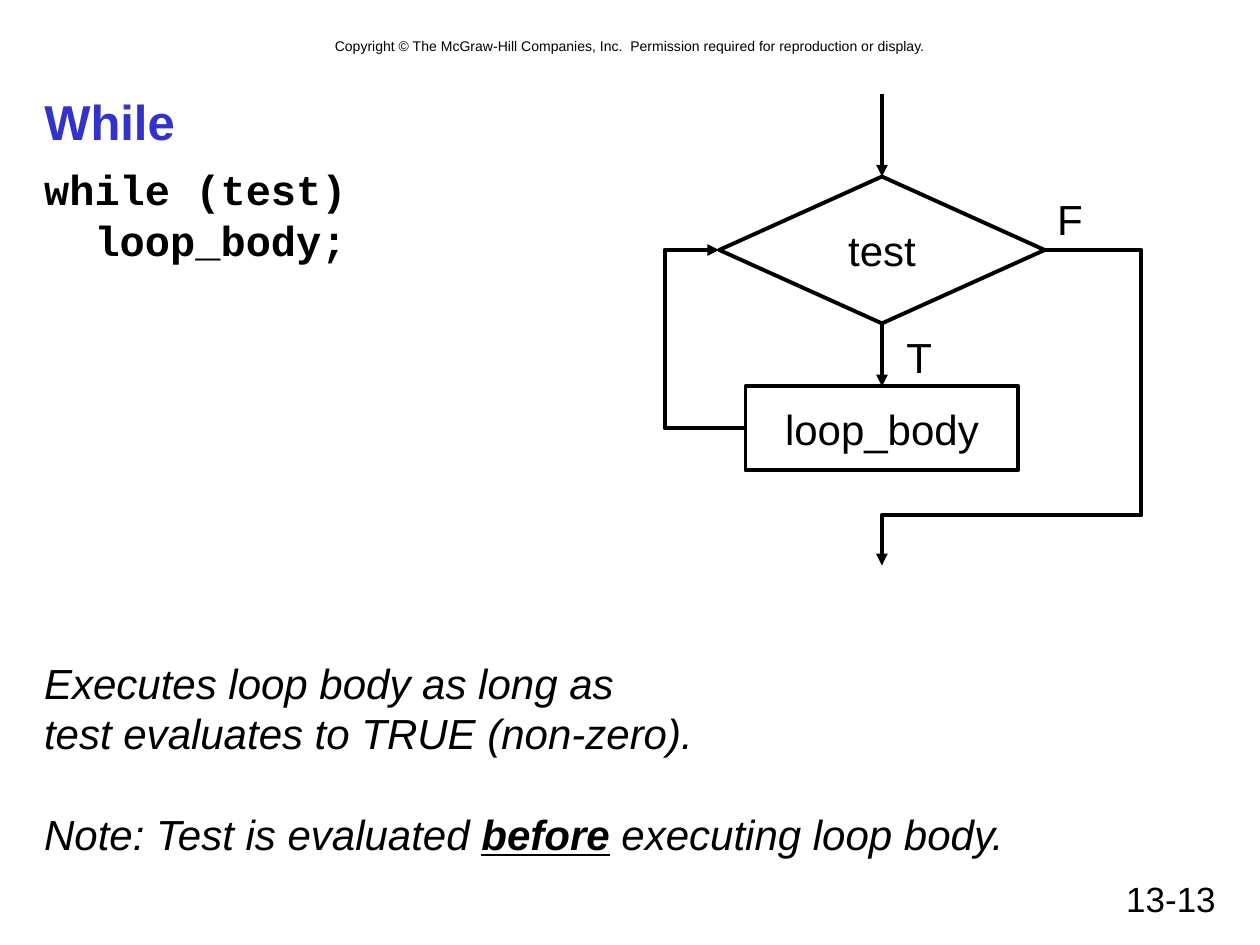
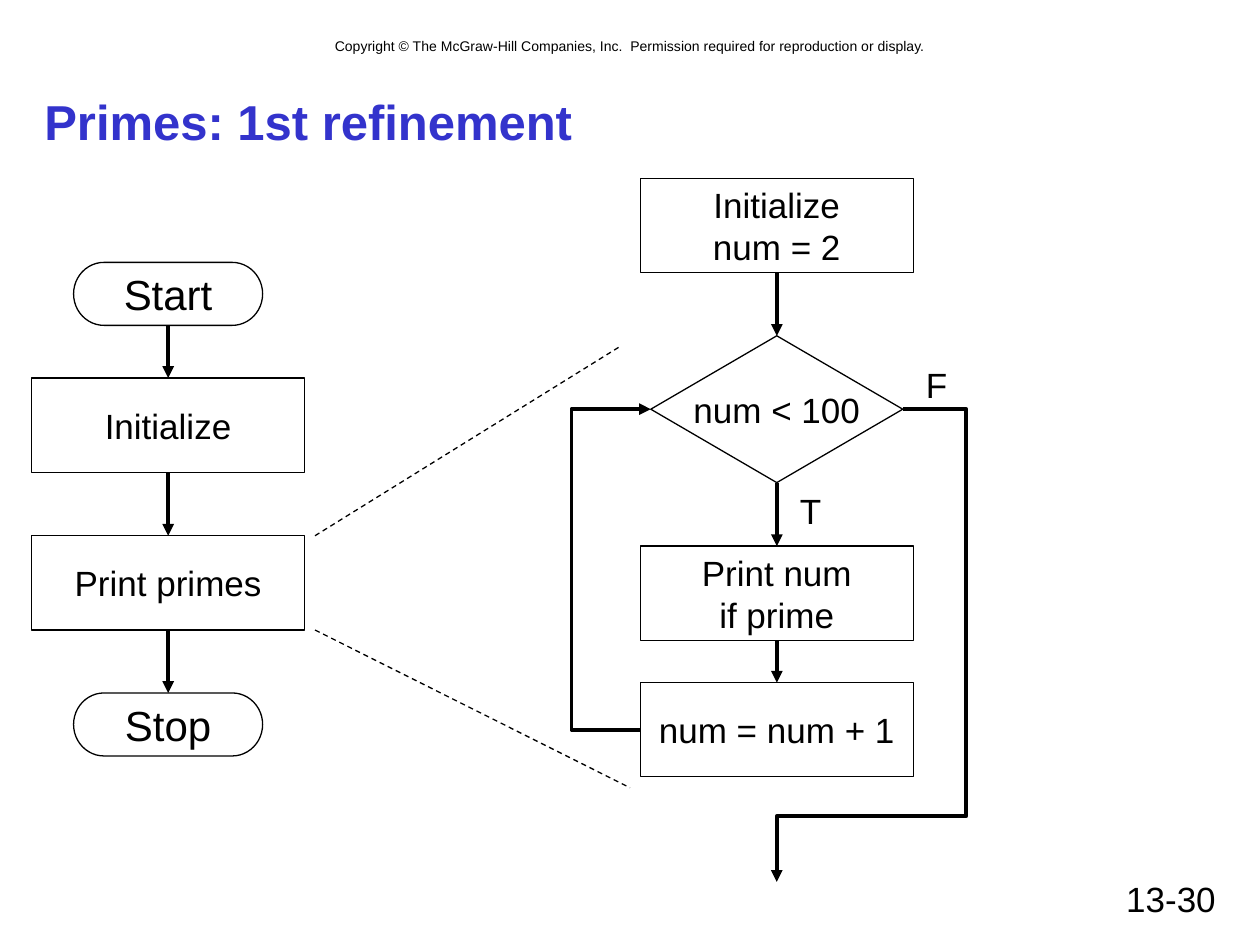
from lxml import etree
from pptx import Presentation
from pptx.dml.color import RGBColor
from pptx.enum.dml import MSO_LINE
from pptx.enum.shapes import MSO_CONNECTOR, MSO_SHAPE
from pptx.enum.text import MSO_ANCHOR, MSO_AUTO_SIZE, PP_ALIGN
from pptx.oxml.ns import qn
from pptx.util import Cm, Pt

BLACK = RGBColor(0x00, 0x00, 0x00)
TITLE_BLUE = RGBColor(0x33, 0x33, 0xCC)
SANS, MONO = "Arial", "Courier New"
LEFT, CENTER, RIGHT = PP_ALIGN.LEFT, PP_ALIGN.CENTER, PP_ALIGN.RIGHT
MIDDLE, NO_AUTOFIT = MSO_ANCHOR.MIDDLE, MSO_AUTO_SIZE.NONE
BOX, DIAMOND = MSO_SHAPE.RECTANGLE, MSO_SHAPE.DIAMOND
DECISION, TERMINATOR = MSO_SHAPE.FLOWCHART_DECISION, MSO_SHAPE.FLOWCHART_TERMINATOR
STRAIGHT, ELBOW, DASH = MSO_CONNECTOR.STRAIGHT, MSO_CONNECTOR.ELBOW, MSO_LINE.DASH
TOP_SITE, LEFT_SITE, BOTTOM_SITE, RIGHT_SITE = range(4)
THIN, THICK = 0.75, 2.25
TITLE_ONLY = 5
COPYRIGHT = ("Copyright © The McGraw-Hill Companies, Inc.  "
             "Permission required for reproduction or display.")


def style_paragraph(paragraph, size, align=LEFT, color=BLACK, font=SANS,
                    bold=False, italic=False):
    paragraph.alignment = align
    paragraph.line_spacing = Pt(size * 1.2)
    paragraph.font.name = font
    paragraph.font.size = Pt(size)
    paragraph.font.bold = bold
    paragraph.font.italic = italic
    paragraph.font.color.rgb = color


def add_text(slide, left, top, width, height, text, size, **style):
    box = slide.shapes.add_textbox(Cm(left), Cm(top), Cm(width), Cm(height))
    frame = box.text_frame
    frame.word_wrap = True
    frame.text = text
    for paragraph in frame.paragraphs:
        style_paragraph(paragraph, size, **style)
    return frame


def add_titled_slide(presentation, title, number):
    slide = presentation.slides.add_slide(presentation.slide_layouts[TITLE_ONLY])
    heading = slide.shapes.title
    heading.left, heading.top = Cm(0.64), Cm(1.7)
    heading.width, heading.height = Cm(24.13), Cm(1.47)
    frame = heading.text_frame
    frame.text = title
    frame.auto_size = NO_AUTOFIT
    frame.vertical_anchor = MIDDLE
    style_paragraph(frame.paragraphs[0], 28, color=TITLE_BLUE, bold=True)
    add_text(slide, 1.7, 0.64, 22.01, 0.6, COPYRIGHT, 8, align=CENTER)
    add_text(slide, 18.2, 17.57, 6.56, 1.06, number, 20, align=RIGHT)
    return slide


def add_node(slide, kind, center, top, width, height, text, size, weight=THIN):
    node = slide.shapes.add_shape(kind, Cm(center - width / 2), Cm(top),
                                  Cm(width), Cm(height))
    node.shadow.inherit = False
    node.fill.background()
    node.line.color.rgb = BLACK
    node.line.width = Pt(weight)
    frame = node.text_frame
    frame.word_wrap = False
    frame.vertical_anchor = MIDDLE
    frame.text = text
    for paragraph in frame.paragraphs:
        style_paragraph(paragraph, size, align=CENTER)
    return node


def add_branch_label(slide, center, top, text, size):
    add_text(slide, center - 0.5, top, 1, 1.2, text, size, align=CENTER)


def add_line(slide, start, end, kind=STRAIGHT, weight=THICK, arrow=True):
    points = [Cm(value) for value in (*start, *end)]
    line = slide.shapes.add_connector(kind, *points)
    line.line.color.rgb = BLACK
    line.line.width = Pt(weight)
    if arrow:
        etree.SubElement(line.line._get_or_add_ln(), qn("a:tailEnd"), type="triangle")
    etree.SubElement(line._element.spPr, qn("a:effectLst"))
    return line


def link_down(slide, upper, lower):
    line = add_line(slide, (0, 0), (0, 0))
    line.begin_connect(upper, BOTTOM_SITE)
    line.end_connect(lower, TOP_SITE)


def set_bends(line, preset, *bends):
    geometry = line._element.spPr.find(qn("a:prstGeom"))
    geometry.set("prst", preset)
    guides = geometry.find(qn("a:avLst"))
    for index, bend in enumerate(bends, 1):
        etree.SubElement(guides, qn("a:gd"), name=f"adj{index}",
                         fmla=f"val {round(bend * 100000)}")


def bend_fraction(position, start, end):
    return (Cm(position) - start) / (end - start)


def link_back(slide, body, test, lane):
    line = add_line(slide, (0, 0), (0, 0), ELBOW)
    line.begin_connect(body, LEFT_SITE)
    line.end_connect(test, LEFT_SITE)
    set_bends(line, "bentConnector3", bend_fraction(lane, line.begin_x, line.end_x))


def link_exit(slide, test, lane, turn, end):
    line = add_line(slide, (0, 0), end, ELBOW)
    line.begin_connect(test, RIGHT_SITE)
    set_bends(line, "bentConnector4",
              bend_fraction(lane, line.begin_x, line.end_x),
              bend_fraction(turn, line.begin_y, line.end_y))


def build_while(presentation):
    slide = add_titled_slide(presentation, "While", "13-13")
    add_text(slide, 0.64, 3.18, 12, 2.5, "while (test)\v  loop_body;", 24,
             font=MONO, bold=True)

    center = 17.78
    test = add_node(slide, DIAMOND, center, 3.56, 6.56, 2.96, "test", 24, THICK)
    body = add_node(slide, BOX, center, 7.79, 5.5, 1.69, "loop_body", 24, THICK)
    entry = add_line(slide, (center, 1.9), (center, 3.56))
    entry.end_connect(test, TOP_SITE)
    link_down(slide, test, body)
    link_back(slide, body, test, 13.4)
    link_exit(slide, test, 23.01, 10.39, (center, 11.4))
    add_branch_label(slide, 18.52, 6.55, "T", 24)
    add_branch_label(slide, 21.56, 3.78, "F", 24)

    frame = add_text(slide, 0.64, 13.13, 22, 4.32,
                     "Executes loop body as long as\vtest evaluates to TRUE (non-zero).",
                     24, italic=True)
    note = frame.add_paragraph()
    style_paragraph(note, 24, italic=True)
    note.space_before = Pt(28.8)
    for text, stressed in (("Note: Test is evaluated ", False), ("before", True),
                           (" executing loop body.", False)):
        run = note.add_run()
        run.text = text
        if stressed:
            run.font.bold = run.font.underline = True


def build_primes(presentation):
    slide = add_titled_slide(presentation, "Primes: 1st refinement", "13-30")

    outline_center = 3.39
    outline = [add_node(slide, kind, outline_center, top, width, height, text, size)
               for kind, top, width, height, text, size in (
                   (TERMINATOR, 5.29, 3.81, 1.27, "Start", 24),
                   (BOX, 7.62, 5.5, 1.9, "Initialize", 20),
                   (BOX, 10.8, 5.5, 1.9, "Print primes", 20),
                   (TERMINATOR, 13.97, 3.81, 1.27, "Stop", 24))]

    loop_center = 15.66
    loop = [add_node(slide, kind, loop_center, top, width, height, text, 20)
            for kind, top, width, height, text in (
                (BOX, 3.6, 5.5, 1.9, "Initialize\nnum = 2"),
                (DECISION, 6.77, 5.08, 2.96, "num < 100"),
                (BOX, 11.01, 5.5, 1.9, "Print num\vif prime"),
                (BOX, 13.76, 5.5, 1.9, "num = num + 1"))]

    for chain in (outline, loop):
        for upper, lower in zip(chain, chain[1:]):
            link_down(slide, upper, lower)
    test, increment = loop[1], loop[3]
    link_back(slide, increment, test, 11.52)
    link_exit(slide, test, 19.48, 16.46, (loop_center, 17.78))
    add_branch_label(slide, 18.88, 7.2, "F", 20)
    add_branch_label(slide, 16.34, 9.74, "T", 20)

    for start, end in (((6.35, 10.8), (12.49, 6.99)), ((6.35, 12.7), (12.7, 15.88))):
        zoom = add_line(slide, start, end, weight=THIN, arrow=False)
        zoom.line.dash_style = DASH


def main():
    presentation = Presentation()
    presentation.slide_width, presentation.slide_height = Cm(25.4), Cm(19.05)
    build_while(presentation)
    build_primes(presentation)
    presentation.save("out.pptx")


if __name__ == "__main__":
    main()
